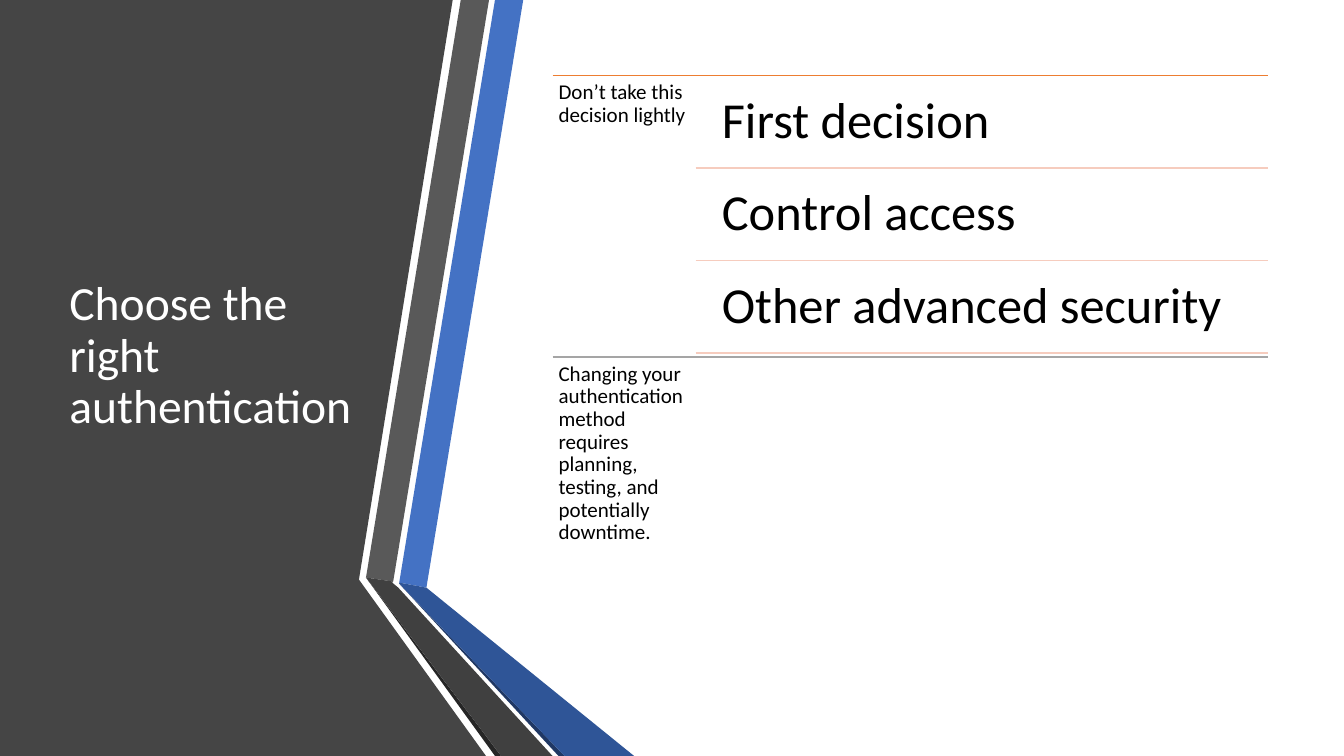
from lxml import etree
from pptx import Presentation
from pptx import util as u
from pptx.dml.color import RGBColor
from pptx.enum import shapes, text
from pptx.oxml import ns

COLORS = {
    "white": "FFFFFF", "black": "000000", "panel": "454545",
    "blue": "4472C4", "deep blue": "2F5597", "navy": "203864",
    "gray": "595959", "dark gray": "404040", "charcoal": "262626",
    "orange": "ED7D31", "pink": "F6CCBE", "silver": "A5A5A5",
}

# Outlines as (column, row) points, from back to front
BANDS = [
    ("panel", [(353, 0), (449, 0), (356, 575), (482, 750), (0, 750), (0, 0)]),
    ("blue", [(396, 578), (423, 583), (519, 0), (491, 0)]),
    ("gray", [(485, 0), (457, 0), (363, 573), (390, 577)]),
    ("charcoal", [(363, 573), (491, 750), (497, 750)]),
    ("navy", [(396, 579), (554, 750), (560, 750)]),
    ("deep blue", [(396, 579), (560, 750), (629, 750), (423, 583), (396, 578)]),
    ("dark gray", [(548, 750), (395, 583), (389, 578), (390, 577), (363, 573), (497, 750)]),
]

SECTIONS = [
    ("orange", "Don’t take this decision lightly",
     ["First decision", "Control access", "Other advanced security"]),
    ("silver", "Changing your authentication method requires planning, "
               "testing, and potentially downtime.", []),
]
LEFT, INNER, RIGHT = 548, 690, 1258
TOP, SECTION_ROWS, ITEM_ROWS = 75, 279, 91.7


class SlideBuilder:
    """Draws on a page divided into 1333 columns and 750 rows."""
    columns, rows = 1333, 750
    font = "Calibri"

    def __init__(self, deck):
        self.page = deck.slides.add_slide(deck.slide_layouts[6])
        self.cell_width = deck.slide_width / self.columns
        self.cell_height = deck.slide_height / self.rows

    def x(self, column):
        return u.Emu(round(column * self.cell_width))

    def y(self, row):
        return u.Emu(round(row * self.cell_height))

    def color(self, name):
        return RGBColor.from_string(COLORS[name])

    def band(self, color, points):
        outline = self.page.shapes.build_freeform(
            *points[0], scale=(self.cell_width, self.cell_height))
        outline.add_line_segments(points[1:], close=True)
        shape = outline.convert_to_shape()
        shape.shadow.inherit = False
        shape.fill.solid()
        shape.fill.fore_color.rgb = self.color(color)
        shape.line.fill.background()

    def rule(self, color, start, row):
        line = self.page.shapes.add_connector(
            shapes.MSO_CONNECTOR.STRAIGHT,
            self.x(start), self.y(row), self.x(RIGHT), self.y(row))
        line.line.color.rgb = self.color(color)
        line.line.width = u.Pt(1)
        properties = line._element.spPr
        etree.SubElement(properties, ns.qn("a:effectLst"))

    def label(self, words, area, size, inset, color="black", anchor=text.MSO_ANCHOR.TOP):
        left, top, width, height = area
        box = self.page.shapes.add_textbox(
            self.x(left), self.y(top), self.x(width), self.y(height))
        frame = box.text_frame
        frame.text = words
        frame.word_wrap = True
        frame.vertical_anchor = anchor
        frame.margin_left = frame.margin_right = u.Inches(inset)
        frame.margin_top = frame.margin_bottom = u.Inches(inset)
        para = frame.paragraphs[0]
        para.line_spacing = 0.9
        span = para.runs[0]
        span.font.name = self.font
        span.font.size = u.Pt(size)
        span.font.color.rgb = self.color(color)

    def section(self, top, color, heading, items):
        self.rule(color, LEFT, top)
        self.label(heading, (LEFT, top, INNER - LEFT, SECTION_ROWS), 15, 0.06)
        for index, item in enumerate(items):
            item_top = top + index * ITEM_ROWS
            self.label(item, (INNER + 11, item_top + 4, RIGHT - INNER - 11, 87), 36, 0.15)
            self.rule("pink", INNER, item_top + ITEM_ROWS)


def main():
    deck = Presentation()
    deck.slide_width, deck.slide_height = u.Inches(13.33), u.Inches(7.5)
    slide = SlideBuilder(deck)
    for color, points in BANDS:
        slide.band(color, points)
    slide.label("Choose the right authentication", (59, 75, 304, 558), 34, 0.1,
                "white", text.MSO_ANCHOR.MIDDLE)
    for index, section in enumerate(SECTIONS):
        slide.section(TOP + index * SECTION_ROWS, *section)
    deck.save("out.pptx")


if __name__ == "__main__":
    main()
